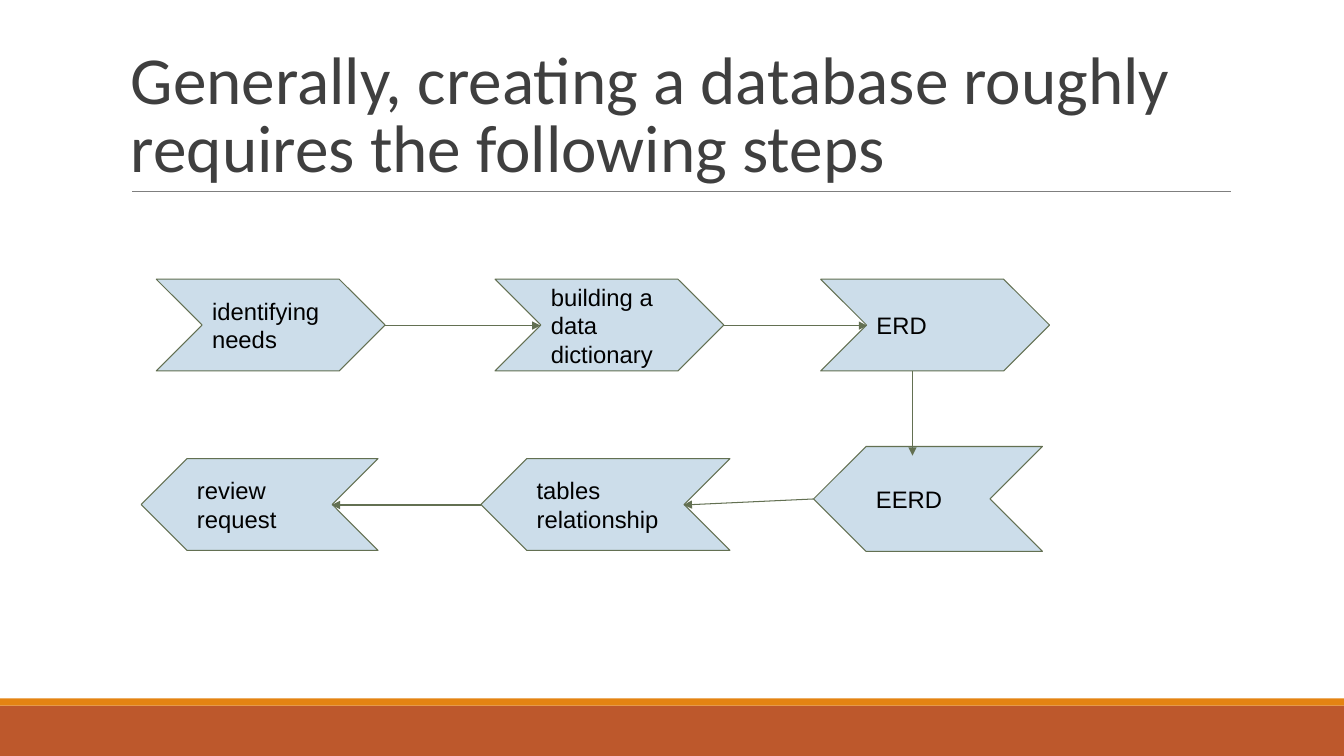
import pptx
import pptx.util
import pptx.dml.color
import pptx.enum.shapes
import pptx.enum.text
import pptx.oxml
import pptx.oxml.ns

Inches = pptx.util.Inches
Pt = pptx.util.Pt
SHAPES = pptx.enum.shapes.MSO_SHAPE
ANCHORS = pptx.enum.text.MSO_ANCHOR
NAMESPACE = pptx.oxml.ns.nsdecls("a")


def paint(color_format, color):
    color_format.rgb = pptx.dml.color.RGBColor.from_string(color)


def write(box, text, color, frame_format, para_format, font_format):
    frame = box.text_frame
    frame.text = text
    para = frame.paragraphs[0]
    targets = ((frame, frame_format), (para, para_format), (para.font, font_format))
    for target, values in targets:
        for name, value in values.items():
            setattr(target, name, value)
    paint(para.font.color, color)


deck = pptx.Presentation()
deck.slide_width, deck.slide_height = Inches(13.33), Inches(7.5)
page = deck.slides.add_slide(deck.slide_layouts[6])
shapes = page.shapes

# Footer bands
for top, height, color in ((7, 0.5, "BD582C"), (6.93, 0.07, "E48312")):
    band = shapes.add_shape(SHAPES.RECTANGLE, 0, Inches(top), deck.slide_width, Inches(height))
    band.shadow.inherit = False
    band.fill.solid()
    paint(band.fill.fore_color, color)
    band.line.fill.background()

# Title
title = shapes.add_textbox(Inches(1.2), Inches(0.31), Inches(11), Inches(1.59))
write(
    title,
    "Generally, creating a database roughly requires the following steps",
    "3F3F3F",
    {"word_wrap": True, "vertical_anchor": ANCHORS.BOTTOM},
    {"line_spacing": 0.85},
    {"name": "Calibri", "size": Pt(48)},
)

# Step chevrons: the upper row points right, the lower row points left
step_frame = {"word_wrap": True, "vertical_anchor": ANCHORS.MIDDLE}
for side in ("left", "top", "right", "bottom"):
    step_frame["margin_" + side] = Inches(0.1)
steps = (
    ("identifying needs", 1.55, 2.77, 2.27, 0.91, False),
    ("building a data dictionary", 4.91, 2.77, 2.27, 0.91, False),
    ("ERD", 8.14, 2.77, 2.27, 0.91, False),
    ("review request", 1.4, 4.55, 2.35, 0.91, True),
    ("tables relationship", 4.77, 4.55, 2.47, 0.91, True),
    ("EERD", 8.07, 4.43, 2.27, 1.04, True),
)
for text, left, top, width, height, points_left in steps:
    step = shapes.add_shape(
        SHAPES.CHEVRON, Inches(left), Inches(top), Inches(width), Inches(height)
    )
    step.shadow.inherit = False
    step.fill.solid()
    paint(step.fill.fore_color, "CCDDEA")
    paint(step.line.color, "637052")
    step.line.width = Pt(0.75)
    if points_left:
        step._element.spPr.xfrm.set("flipH", "1")
    write(
        step,
        text,
        "000000",
        step_frame,
        {"alignment": pptx.enum.text.PP_ALIGN.LEFT},
        {"name": "Arial", "size": Pt(17)},
    )

# Title rule and arrows between steps
lines = (
    (1.31, 1.9, 12.21, 1.9, "7F7F7F", False),
    (3.82, 3.23, 5.36, 3.23, "637052", True),
    (7.18, 3.23, 8.6, 3.23, "637052", True),
    (9.05, 3.68, 9.05, 4.52, "637052", True),
    (8.07, 4.95, 6.78, 5.01, "637052", True),
    (4.77, 5.01, 3.29, 5.01, "637052", True),
)
for *ends, color, has_arrowhead in lines:
    line = shapes.add_connector(
        pptx.enum.shapes.MSO_CONNECTOR.STRAIGHT, *(Inches(end) for end in ends)
    )
    paint(line.line.color, color)
    line.line.width = Pt(0.75)
    if has_arrowhead:
        arrowhead = pptx.oxml.parse_xml(f'<a:tailEnd {NAMESPACE} type="triangle"/>')
        line.line._get_or_add_ln().append(arrowhead)
    line._element.spPr.append(pptx.oxml.parse_xml(f"<a:effectLst {NAMESPACE}/>"))

deck.save("out.pptx")
